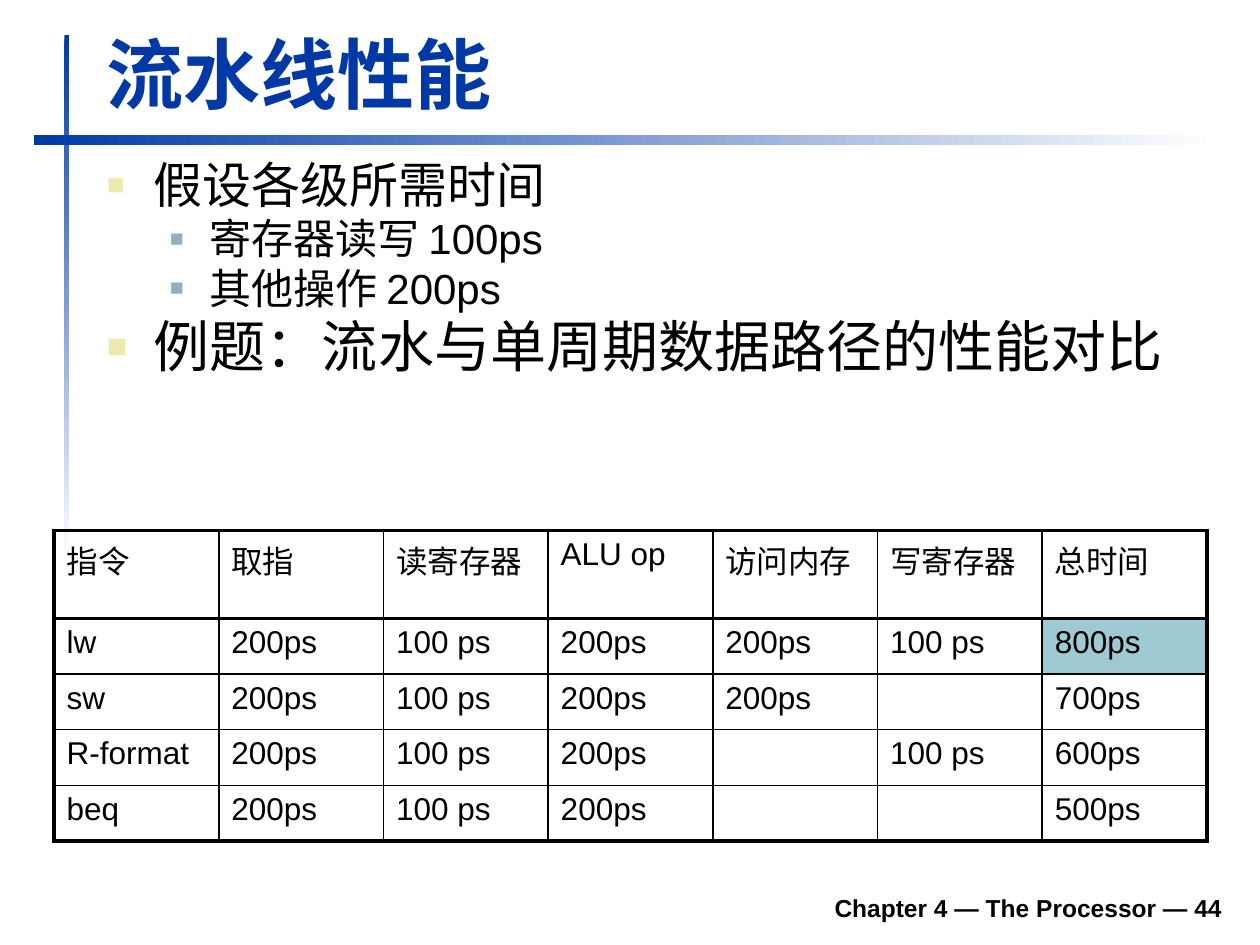
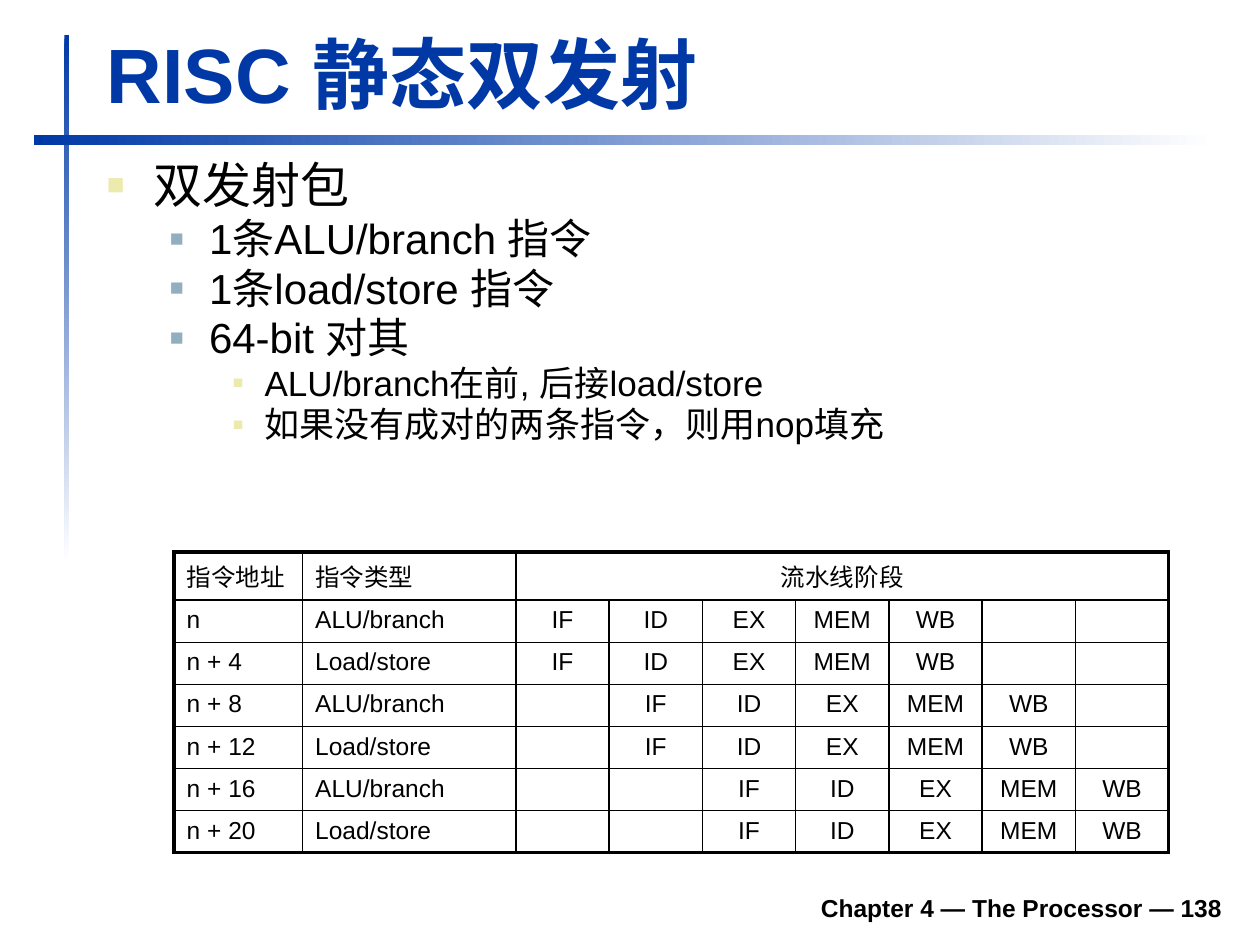
from dataclasses import dataclass
from typing import NamedTuple

from lxml.etree import SubElement
from pptx import Presentation
from pptx.dml.color import RGBColor as Rgb
from pptx.enum.shapes import MSO_SHAPE as Preset
from pptx.enum.text import MSO_ANCHOR as Anchor, MSO_AUTO_SIZE as AutoSize, PP_ALIGN as Align
from pptx.oxml.ns import qn
from pptx.util import Cm, Pt


@dataclass(frozen=True)
class Theme:
    font: str = "Arial"
    ink: str = "000000"
    accent: str = "0039A6"
    paper: str = "FFFFFF"
    highlight: str = "9FCAD3"
    title_size: int = 44
    footer_size: int = 14
    line_spacing: float = 0.9
    gap_ratio: float = 0.1
    outer_rule: float = 2.25
    header_rule: float = 1.5
    inner_rule: float = 1


class Box(NamedTuple):
    left: float
    top: float
    width: float
    height: float

    def lengths(self) -> list:
        return [Cm(value) for value in self]


class Band(NamedTuple):
    box: Box
    angle: int


class Level(NamedTuple):
    margin: float
    hanging: float
    bullet_color: str
    bullet_percent: int


class Item(NamedTuple):
    text: str
    level: int
    size: int


@dataclass(frozen=True)
class Grid:
    left: float
    top: float
    columns: list[float]
    header_height: float
    row_height: float
    size: int
    rows: list[list[str]]
    centred_from: int
    header_span_from: int | None = None
    highlighted: tuple[int, int] | None = None


@dataclass(frozen=True)
class Page:
    number: int
    title: str
    body_height: float
    items: list[Item]
    grid: Grid


THEME = Theme()
BANDS = [
    Band(Box(1.3, 0.71, 0.1, 10.59), 270),
    Band(Box(0.69, 2.72, 23.8, 0.2), 0),
]
TITLE_BOX = Box(1.9, 0.41, 22.94, 2.11)
FOOTER_BOX = Box(4.7, 17.73, 20.19, 0.99)
LEVELS = [
    Level(0.95, 0.95, "ECEAAC", 60),
    Level(2.06, 0.79, "91AFBF", 55),
    Level(3.18, 0.64, "ECEAAC", 50),
]

STAGES = ["IF", "ID", "EX", "MEM", "WB"]
PACKET_KINDS = ["ALU/branch", "Load/store"]
PACKETS = 3


def issue_row(index: int) -> list[str]:
    packet, slot = divmod(index, len(PACKET_KINDS))
    address = f"n + {4 * index}" if index else "n"
    return [address, PACKET_KINDS[slot], *[""] * packet, *STAGES, *[""] * (PACKETS - 1 - packet)]


PERFORMANCE = Page(
    number=44,
    title="流水线性能",
    body_height=7.04,
    items=[
        Item("假设各级所需时间", 0, 28),
        Item("寄存器读写 100ps", 1, 24),
        Item("其他操作 200ps", 1, 24),
        Item("例题：流水与单周期数据路径的性能对比", 0, 32),
    ],
    grid=Grid(
        left=1.09,
        top=10.69,
        columns=[3.32] * 7,
        header_height=1.78,
        row_height=1.12,
        size=18,
        rows=[
            ["指令", "取指", "读寄存器", "ALU op", "访问内存", "写寄存器", "总时间"],
            ["lw", "200ps", "100 ps", "200ps", "200ps", "100 ps", "800ps"],
            ["sw", "200ps", "100 ps", "200ps", "200ps", "", "700ps"],
            ["R-format", "200ps", "100 ps", "200ps", "", "100 ps", "600ps"],
            ["beq", "200ps", "100 ps", "200ps", "", "", "500ps"],
        ],
        centred_from=7,
        highlighted=(1, 6),
    ),
)

DUAL_ISSUE = Page(
    number=138,
    title="RISC 静态双发射",
    body_height=7.67,
    items=[
        Item("双发射包", 0, 28),
        Item("1条ALU/branch 指令", 1, 24),
        Item("1条load/store 指令", 1, 24),
        Item("64-bit 对其", 1, 24),
        Item("ALU/branch在前, 后接load/store", 2, 20),
        Item("如果没有成对的两条指令，则用nop填充", 2, 20),
    ],
    grid=Grid(
        left=3.51,
        top=11.13,
        columns=[2.59, 4.3] + [1.88] * 7,
        header_height=0.97,
        row_height=0.81,
        size=14,
        rows=[
            ["指令地址", "指令类型", "流水线阶段"] + [""] * 6,
            *[issue_row(index) for index in range(PACKETS * len(PACKET_KINDS))],
        ],
        centred_from=2,
        header_span_from=2,
    ),
)


def format_runs(paragraph, size: int, color: str = THEME.ink, bold: bool = False) -> None:
    for run in paragraph.runs:
        run.font.name = THEME.font
        run.font.size = Pt(size)
        run.font.bold = bold
        run.font.color.rgb = Rgb.from_string(color)


def place(shape, box: Box) -> None:
    shape.left, shape.top, shape.width, shape.height = box.lengths()


def add_band(slide, band: Band) -> None:
    bar = slide.shapes.add_shape(Preset.RECTANGLE, *band.box.lengths())
    bar.shadow.inherit = False
    bar.line.fill.background()
    bar.fill.gradient()
    bar.fill.gradient_angle = band.angle
    for stop, color in zip(bar.fill.gradient_stops, (THEME.accent, THEME.paper)):
        stop.color.rgb = Rgb.from_string(color)


def add_footer(slide, number: int) -> None:
    frame = slide.shapes.add_textbox(*FOOTER_BOX.lengths()).text_frame
    frame.word_wrap = True
    frame.vertical_anchor = Anchor.BOTTOM
    frame.text = f"Chapter 4 — The Processor — {number}"
    frame.paragraphs[0].alignment = Align.RIGHT
    format_runs(frame.paragraphs[0], THEME.footer_size, bold=True)


def fill_title(slide, text: str) -> None:
    title = slide.shapes.title
    place(title, TITLE_BOX)
    frame = title.text_frame
    frame.text = text
    frame.auto_size = AutoSize.NONE
    frame.vertical_anchor = Anchor.BOTTOM
    frame.paragraphs[0].alignment = Align.LEFT
    format_runs(frame.paragraphs[0], THEME.title_size, THEME.accent, bold=True)


def add_bullet(paragraph, level: Level) -> None:
    properties = paragraph._p.get_or_add_pPr()
    properties.set("marL", str(Cm(level.margin)))
    properties.set("indent", str(-Cm(level.hanging)))
    color = SubElement(properties, qn("a:buClr"))
    SubElement(color, qn("a:srgbClr"), val=level.bullet_color)
    SubElement(properties, qn("a:buSzPct"), val=str(level.bullet_percent * 1000))
    SubElement(properties, qn("a:buFont"), typeface=THEME.font)
    SubElement(properties, qn("a:buChar"), char="■")


def fill_body(slide, items: list[Item], height: float) -> None:
    body = slide.placeholders[1]
    place(body, Box(1.9, 3.12, 22.99, height))
    frame = body.text_frame
    frame.text = "\n".join(item.text for item in items)
    frame.auto_size = AutoSize.NONE
    for index, (paragraph, item) in enumerate(zip(frame.paragraphs, items)):
        paragraph.level = item.level
        add_bullet(paragraph, LEVELS[item.level])
        paragraph.line_spacing = THEME.line_spacing
        paragraph.space_before = Pt(item.size * THEME.gap_ratio if index else 0)
        format_runs(paragraph, item.size)


def rule_cell(cell, widths: dict[str, float]) -> None:
    properties = cell._tc.get_or_add_tcPr()
    for side, width in widths.items():
        line = SubElement(properties, qn(f"a:ln{side}"), w=str(Pt(width)))
        fill = SubElement(line, qn("a:solidFill"))
        SubElement(fill, qn("a:srgbClr"), val=THEME.ink)


def border_widths(row: int, column: int, span: int, grid: Grid) -> dict[str, float]:
    outer, header, inner = THEME.outer_rule, THEME.header_rule, THEME.inner_rule
    across = [outer, *[inner] * (len(grid.columns) - 1), outer]
    down = [outer, header, *[inner] * (len(grid.rows) - 2), outer]
    return {"L": across[column], "R": across[column + span], "T": down[row], "B": down[row + 1]}


def add_grid(slide, grid: Grid) -> None:
    heights = [grid.header_height] + [grid.row_height] * (len(grid.rows) - 1)
    box = Box(grid.left, grid.top, sum(grid.columns), sum(heights))
    table = slide.shapes.add_table(len(heights), len(grid.columns), *box.lengths()).table
    table.first_row = table.horz_banding = False
    for column, width in zip(table.columns, grid.columns):
        column.width = Cm(width)
    for row, height in zip(table.rows, heights):
        row.height = Cm(height)
    if grid.header_span_from is not None:
        table.cell(0, grid.header_span_from).merge(table.cell(0, len(grid.columns) - 1))

    for r, texts in enumerate(grid.rows):
        for c, text in enumerate(texts):
            cell = table.cell(r, c)
            paragraph = cell.text_frame.paragraphs[0]
            paragraph.alignment = Align.CENTER if c >= grid.centred_from else Align.LEFT
            if text:
                paragraph.text = text
                format_runs(paragraph, grid.size)
            else:
                SubElement(paragraph._p, qn("a:endParaRPr"), sz=str(grid.size * 100))
            rule_cell(cell, border_widths(r, c, cell.span_width if cell.is_merge_origin else 1, grid))
            if (r, c) == grid.highlighted:
                cell.fill.solid()
                cell.fill.fore_color.rgb = Rgb.from_string(THEME.highlight)
            else:
                cell.fill.background()


def add_page(deck, page: Page) -> None:
    slide = deck.slides.add_slide(deck.slide_layouts[1])
    for band in BANDS:
        add_band(slide, band)
    add_footer(slide, page.number)
    fill_title(slide, page.title)
    fill_body(slide, page.items, page.body_height)
    add_grid(slide, page.grid)


def main() -> None:
    deck = Presentation()
    deck.slide_width, deck.slide_height = Cm(25.4), Cm(19.05)
    for page in (PERFORMANCE, DUAL_ISSUE):
        add_page(deck, page)
    deck.save("out.pptx")


if __name__ == "__main__":
    main()
